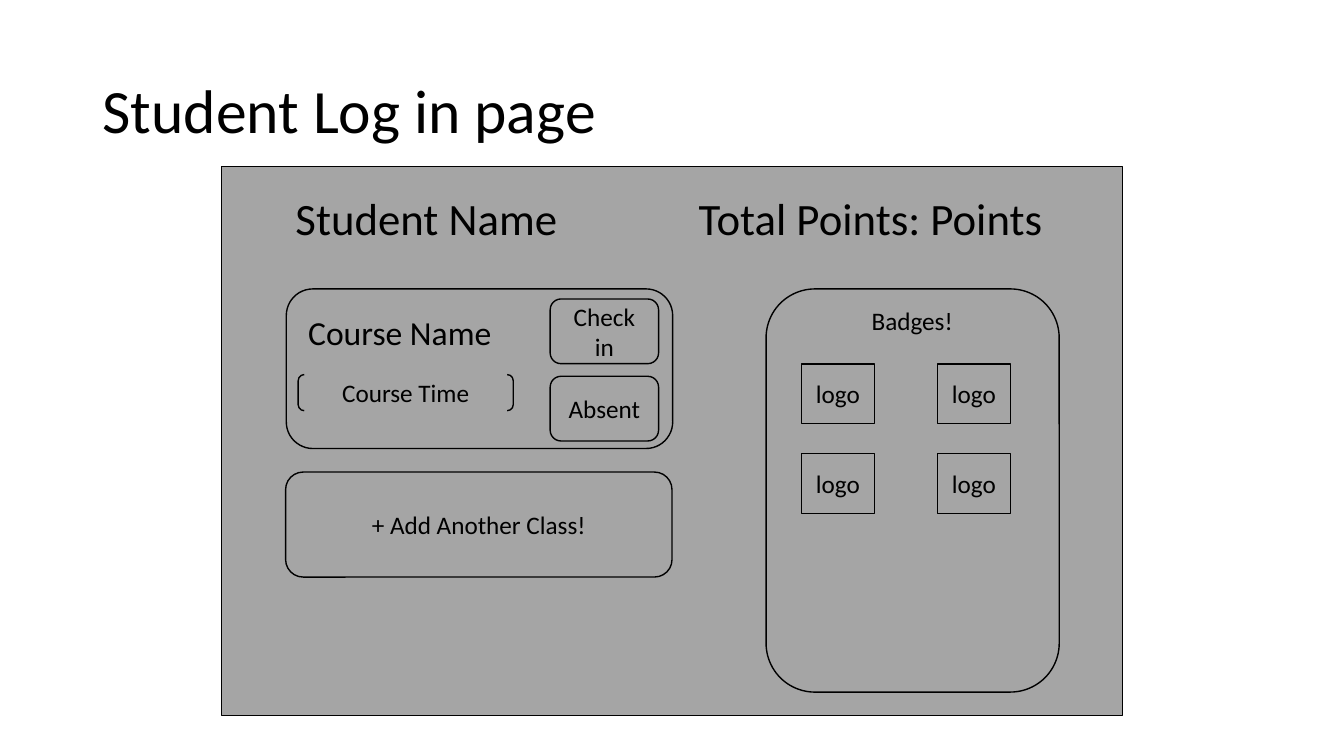
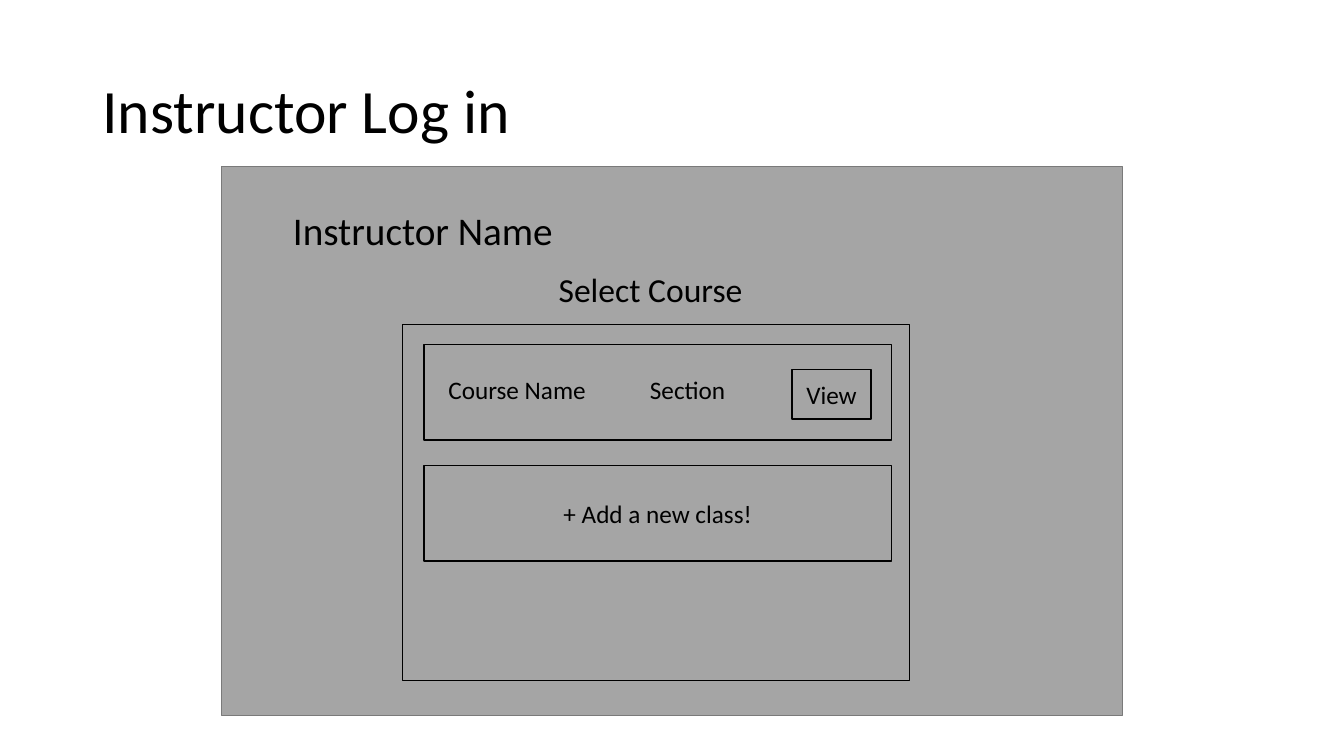
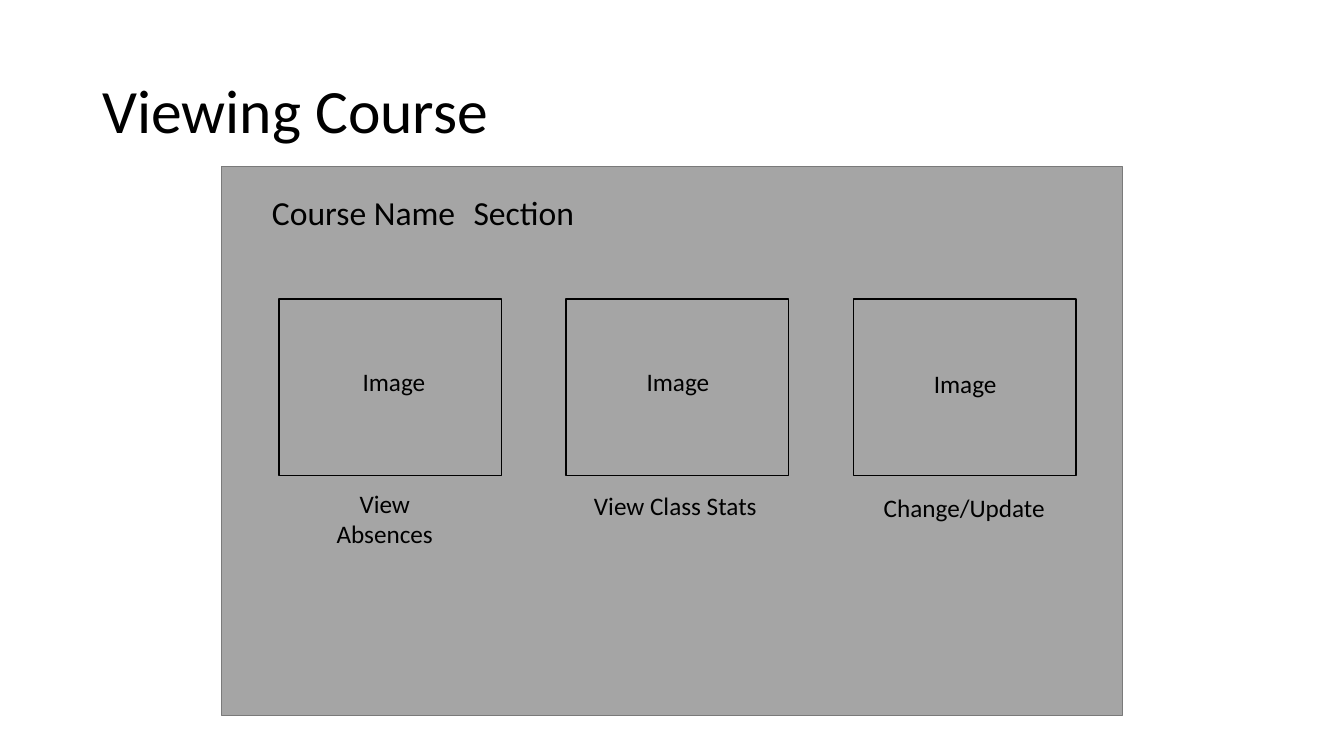
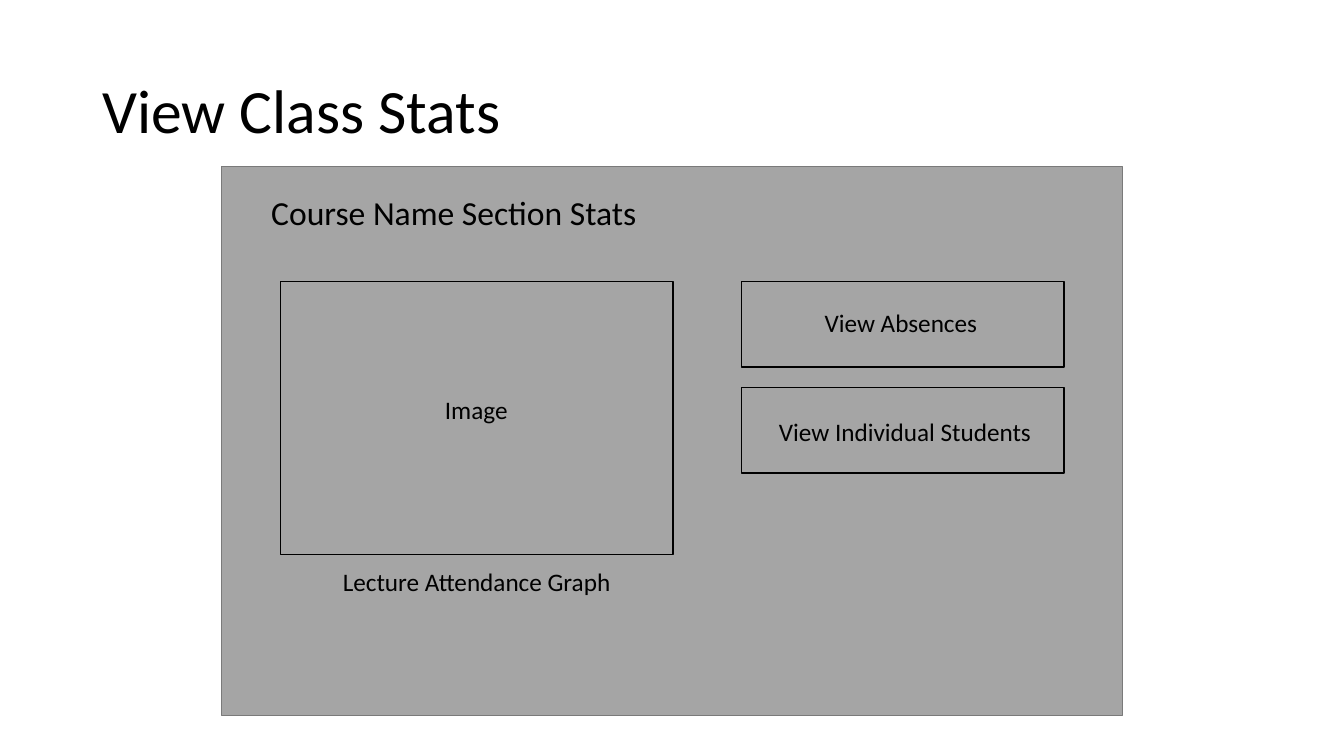
"""Wireframes of a class attendance site: one grey screen per slide."""
import pptx
import pptx.dml.color
import pptx.enum.shapes
import pptx.enum.text
import pptx.util

COLORS = {"ink": "000000", "screen": "A5A5A5", "edge": "7A7A7A"}
FONT = "Calibri"
COLS, ROWS = 80, 45
CELL = pptx.util.Inches(7.5) / ROWS
SHAPE = pptx.enum.shapes.MSO_SHAPE
ALIGN = pptx.enum.text.PP_ALIGN
ANCHOR = pptx.enum.text.MSO_ANCHOR
AUTO = pptx.enum.text.MSO_AUTO_SIZE
SCREEN = (13.2, 9.9, 53.6, 32.7)
TITLE = (5.5, 2.4, 69, 8.7)


def color(name):
    """Return a palette colour."""
    return pptx.dml.color.RGBColor.from_string(COLORS[name])


def put(obj, **values):
    """Set each named attribute of an object."""
    for name, value in values.items():
        setattr(obj, name, value)


def box(area):
    """Turn columns and rows of the grid into lengths."""
    return [round(n * CELL) for n in area]


def write(sp, text, size, align, anchor, spacing=1.0):
    """Write one formatted paragraph into a shape."""
    tf = sp.text_frame
    put(tf, word_wrap=True, auto_size=AUTO.NONE, vertical_anchor=anchor)
    p = tf.paragraphs[0]
    put(p, alignment=align, line_spacing=spacing)
    p._p.get_or_add_pPr().set("defTabSz", str(pptx.util.Inches(1)))
    r = p.add_run()
    r.text = text
    put(r.font, name=FONT, size=pptx.util.Pt(size))
    r.font.color.rgb = color("ink")


def label(s, area, text, size=18, align=ALIGN.CENTER):
    """Add a text box."""
    sp = s.shapes.add_textbox(*box(area))
    write(sp, text, size, align, ANCHOR.TOP)


def heading(s, area, text, size=24):
    """Add a left-aligned text box."""
    label(s, area, text, size, ALIGN.LEFT)


def frame(s, area, text="", kind=SHAPE.RECTANGLE, fill=None, line="ink"):
    """Add an outlined shape, with centred text if any."""
    sp = s.shapes.add_shape(kind, *box(area))
    sp.shadow.inherit = False
    if fill:
        sp.fill.solid()
        sp.fill.fore_color.rgb = color(fill)
    else:
        sp.fill.background()
    sp.line.color.rgb = color(line)
    sp.line.width = pptx.util.Pt(1)
    if text:
        write(sp, text, 18, ALIGN.CENTER, ANCHOR.MIDDLE)


def rounded(s, area, text=""):
    """Add an outlined shape with round corners."""
    frame(s, area, text, SHAPE.ROUNDED_RECTANGLE)


def page(prs, title, edge="edge"):
    """Add a slide with its title and the grey screen."""
    s = prs.slides.add_slide(prs.slide_layouts[5])
    sp = s.shapes.title
    put(sp, **dict(zip(("left", "top", "width", "height"), box(TITLE))))
    write(sp, title, 44, ALIGN.LEFT, ANCHOR.MIDDLE, 0.9)
    frame(s, SCREEN, fill="screen", line=edge)
    return s


def student_page(prs):
    """Build the student's start page."""
    s = page(prs, "Student Log in page", "ink")
    heading(s, (17, 11.04, 46.1, 3.84), "Student Name\t\tTotal Points: Points", 32)
    rounded(s, (17.04, 17.2, 23, 9.5))
    heading(s, (17.75, 18.25, 16, 3), "Course Name")
    frame(s, (17.75, 22.3, 12.8, 2.15), "Course Time", SHAPE.DOUBLE_BRACKET)
    for i, text in enumerate(("Check in", "Absent")):
        rounded(s, (32.75, 17.8 + 4.6 * i, 6.45, 3.85), text)
    rounded(s, (17, 28.1, 23, 6.25), "+ Add Another Class!")
    rounded(s, (45.6, 17.2, 17.45, 24))
    label(s, (49, 17.9, 10.6, 2.4), "Badges!")
    for i in range(4):
        row, col = divmod(i, 2)
        frame(s, (47.7 + 8.1 * col, 21.66 + 5.35 * row, 4.35, 3.55), "logo")


def instructor_page(prs):
    """Build the instructor's course list."""
    s = page(prs, "Instructor Log in")
    heading(s, (16.85, 12, 20.4, 3.4), "Instructor Name", 28)
    label(s, (29.15, 15.7, 19.15, 3), "Select Course", 24)
    frame(s, (23.95, 19.3, 30.2, 21.2))
    for i, text in enumerate(("", "+ Add a new class!")):
        frame(s, (25.25, 20.5 + 7.2 * i, 27.8, 5.7), text)
    heading(s, (26.1, 22, 18, 4.25), "Course Name\tSection", 18)
    frame(s, (47.15, 22, 4.7, 2.95), "View")


def course_page(prs):
    """Build the page of one course with its three choices."""
    s = page(prs, "Viewing Course")
    heading(s, (15.6, 11.1, 27.85, 3), "Course Name\tSection")
    choices = (
        ("View Absences", (18, 28.75, 9.8, 4.25), (20.2, 21.5)),
        ("View Class Stats", (34.5, 28.9, 11.4, 2.4), (37.1, 21.5)),
        ("Change/Update", (51.7, 29, 11.4, 2.4), (54.2, 21.6)),
    )
    for i, (text, caption, image) in enumerate(choices):
        frame(s, (16.6 + 17.1 * i, 17.8, 13.25, 10.5))
        label(s, (*image, 6.5, 2.4), "Image")
        label(s, caption, text)


def stats_page(prs):
    """Build the statistics page of one course."""
    s = page(prs, "View Class Stats")
    heading(s, (15.55, 11.1, 24.5, 3), "Course Name Section Stats")
    frame(s, (16.7, 16.75, 23.35, 16.25))
    label(s, (23.05, 23.2, 10.6, 2.4), "Image")
    label(s, (18.95, 33.4, 18.85, 2.4), "Lecture Attendance Graph")
    buttons = (("View Absences", 45.1, 18), ("View Individual Students", 45.35, 24.5))
    for i, (text, left, top) in enumerate(buttons):
        frame(s, (44.15, 16.75 + 6.3 * i, 19.2, 5.1))
        label(s, (left, top, 17.05, 2.4), text)


def main():
    """Build and save the presentation."""
    prs = pptx.Presentation()
    put(prs, slide_width=round(COLS * CELL), slide_height=round(ROWS * CELL))
    for build in (student_page, instructor_page, course_page, stats_page):
        build(prs)
    prs.save("out.pptx")


main()
